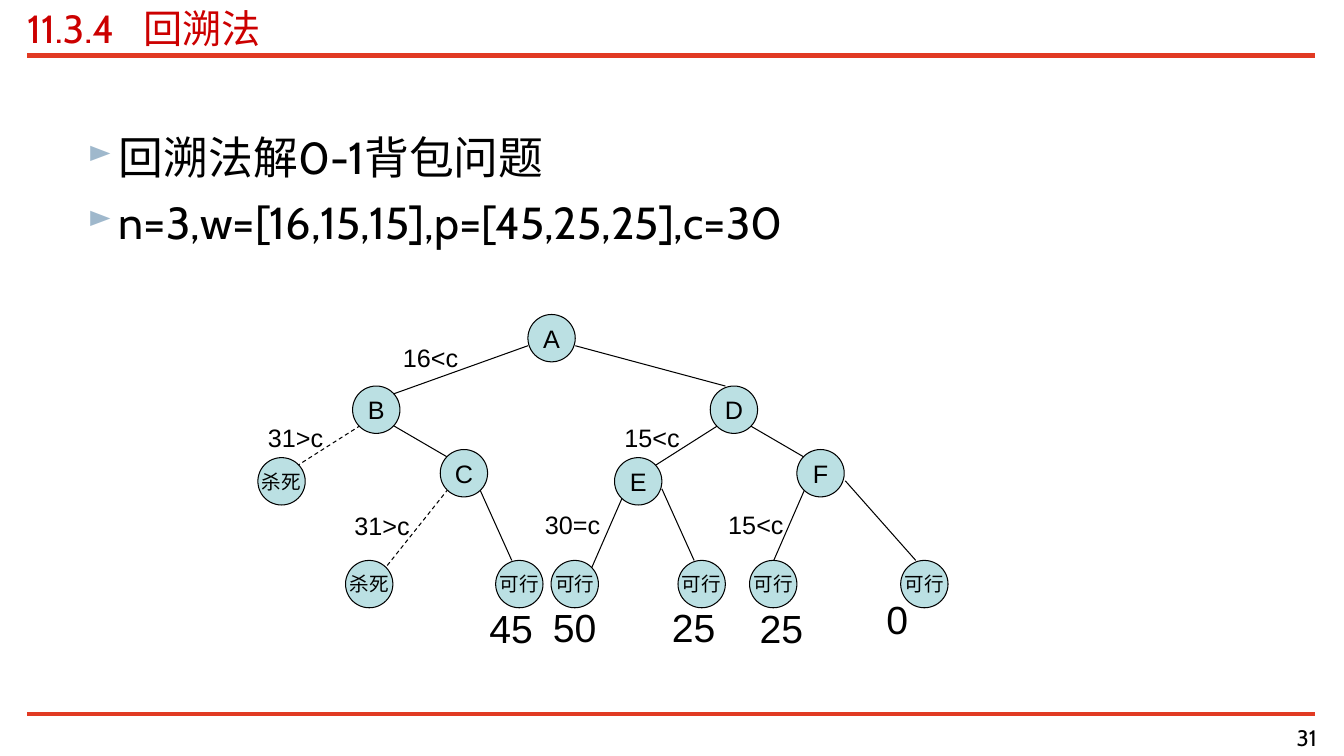
from typing import NamedTuple

from lxml.etree import SubElement as Sub
from pptx import Presentation
from pptx.dml.color import RGBColor as RGB
from pptx.enum.dml import MSO_LINE as Dash
from pptx.enum.shapes import MSO_CONNECTOR as Link, MSO_SHAPE as Shape
from pptx.enum.text import MSO_ANCHOR as Anchor, MSO_AUTO_SIZE as Fit, PP_ALIGN as Align
from pptx.oxml.ns import qn
from pptx.util import Emu, Pt

SCALE = 9144  # EMU in one px, 100 px to the inch
BLACK = RGB(0x00, 0x00, 0x00)
RED = RGB(0xCC, 0x00, 0x00)
RULE = RGB(0xE1, 0x3A, 0x23)
AQUA = RGB(0xBB, 0xE0, 0xE3)
BULLET = RGB(0x9F, 0xB8, 0xCC)
DIAM = 47
KILL, FINE = "杀死", "可行"
BARE = dict(margin_left=0, margin_right=0, margin_top=0, margin_bottom=0,
            vertical_anchor=Anchor.MIDDLE)


class Node(NamedTuple):
    text: str
    x: int
    y: int


class Edge(NamedTuple):
    x1: int
    y1: int
    x2: int
    y2: int
    color: RGB = BLACK
    width: float = 0.75
    dash: bool = False


class Label(NamedTuple):
    text: str
    x: int
    y: int
    w: int
    h: int
    size: int


NODES = [
    Node("A", 524, 312),
    Node("B", 350, 383), Node("D", 705, 383),
    Node(KILL, 256, 454), Node("C", 437, 446),
    Node("E", 610, 454), Node("F", 791, 446),
    *(Node(KILL if x == 343 else FINE, x, 556)
      for x in (343, 492, 547, 673, 744, 894)),
]
EDGES = [
    Edge(524, 343, 390, 391), Edge(571, 343, 720, 383),
    Edge(358, 422, 295, 462, dash=True), Edge(390, 422, 445, 454),
    Edge(445, 485, 382, 564, dash=True), Edge(476, 485, 508, 556),
    Edge(713, 422, 650, 462), Edge(744, 422, 799, 454),
    Edge(618, 493, 587, 564), Edge(657, 485, 689, 556),
    Edge(799, 485, 768, 556), Edge(839, 477, 909, 556),
]
RULES = [Edge(27, 55, 1305, 55, RULE, 4), Edge(27, 708, 1305, 708, RULE, 3)]
GAINS = [("45", 476, 595), ("50", 539, 594), ("25", 657, 594),
         ("25", 744, 595), ("0", 870, 586)]
TESTS = [("31>c", 256, 414), ("31>c", 342, 501), ("16<c", 390, 335),
         ("15<c", 610, 414), ("30=c", 531, 500), ("15<c", 713, 500)]
LABELS = [Label(*gain, 71, 57, 28) for gain in GAINS]
LABELS += [Label(*test, 79, 40, 18) for test in TESTS]
POINTS = ["回溯法解0-1背包问题", "n=3,w=[16,15,15],p=[45,25,25],c=30"]


def px(*nums: int) -> list[Emu]:
    return [Emu(num * SCALE) for num in nums]


def apply(item, style: dict) -> None:
    for name, value in style.items():
        setattr(item, name, value)


def write(para, text: str, size: int, face: str = "Arial", color: RGB = BLACK) -> None:
    run = para.add_run()
    run.text = text
    apply(run.font, dict(size=Pt(size), name=face))
    run.font.color.rgb = color


def frame(slide, x: int, y: int, w: int, h: int):
    """Add a wrapping text box and return its text frame."""
    body = slide.shapes.add_textbox(*px(x, y, w, h)).text_frame
    body.word_wrap = True
    return body


def draw_edge(slide, edge: Edge) -> None:
    line = slide.shapes.add_connector(Link.STRAIGHT, *px(*edge[:4]))
    line.line.color.rgb = edge.color
    line.line.width = Pt(edge.width)
    if edge.dash:
        line.line.dash_style = Dash.DASH
    Sub(line._element.spPr, qn("a:effectLst"))


def draw_node(slide, node: Node) -> None:
    ball = slide.shapes.add_shape(Shape.OVAL, *px(node.x, node.y, DIAM, DIAM))
    ball.shadow.inherit = False
    ball.fill.solid()
    ball.fill.fore_color.rgb = AQUA
    ball.line.color.rgb = BLACK
    ball.line.width = Pt(0.75)
    body = ball.text_frame
    apply(body, dict(word_wrap=False, vertical_anchor=Anchor.MIDDLE))
    para = body.paragraphs[0]
    para.alignment = Align.CENTER
    write(para, node.text, 14 if node.text in (KILL, FINE) else 18)


def draw_label(slide, label: Label) -> None:
    body = frame(slide, label.x, label.y, label.w, label.h)
    write(body.paragraphs[0], label.text, label.size)


def draw_title(slide) -> None:
    title = slide.shapes.title
    left, top, width, height = px(27, 4, 1278, 47)
    apply(title, dict(left=left, top=top, width=width, height=height))
    apply(title.text_frame, BARE | dict(auto_size=Fit.NONE))
    para = title.text_frame.paragraphs[0]
    para.alignment = Align.LEFT
    tabs = Sub(para._p.get_or_add_pPr(), qn("a:tabLst"))
    Sub(tabs, qn("a:tab"), pos=str(115 * SCALE), algn="l")
    write(para, "11.3.4\t回溯法", 28, "Cabin", RED)


def draw_points(slide) -> None:
    body = frame(slide, 27, 124, 1278, 581)
    for i, text in enumerate(POINTS):
        para = body.add_paragraph() if i else body.paragraphs[0]
        para.level = 1
        props = para._p.get_or_add_pPr()
        props.set("marL", str(81 * SCALE))
        props.set("indent", str(-31 * SCALE))
        Sub(Sub(props, qn("a:buClr")), qn("a:srgbClr"), val=str(BULLET))
        Sub(props, qn("a:buSzPct"), val="70000")
        Sub(props, qn("a:buChar"), char="►")
        if i:
            para.space_before = Pt(8)
        write(para, text, 32, "Cabin")


def draw_number(slide) -> None:
    body = frame(slide, 1039, 716, 268, 31)
    apply(body, BARE)
    para = body.paragraphs[0]
    para.alignment = Align.RIGHT
    write(para, "31", 16, "Cabin")


def main() -> None:
    deck = Presentation()
    deck.slide_width, deck.slide_height = px(1334, 750)
    slide = deck.slides.add_slide(deck.slide_layouts[5])
    draw_title(slide)
    draw_points(slide)
    for edge in RULES + EDGES:
        draw_edge(slide, edge)
    for node in NODES:
        draw_node(slide, node)
    for label in LABELS:
        draw_label(slide, label)
    draw_number(slide)
    deck.save("out.pptx")


if __name__ == "__main__":
    main()
